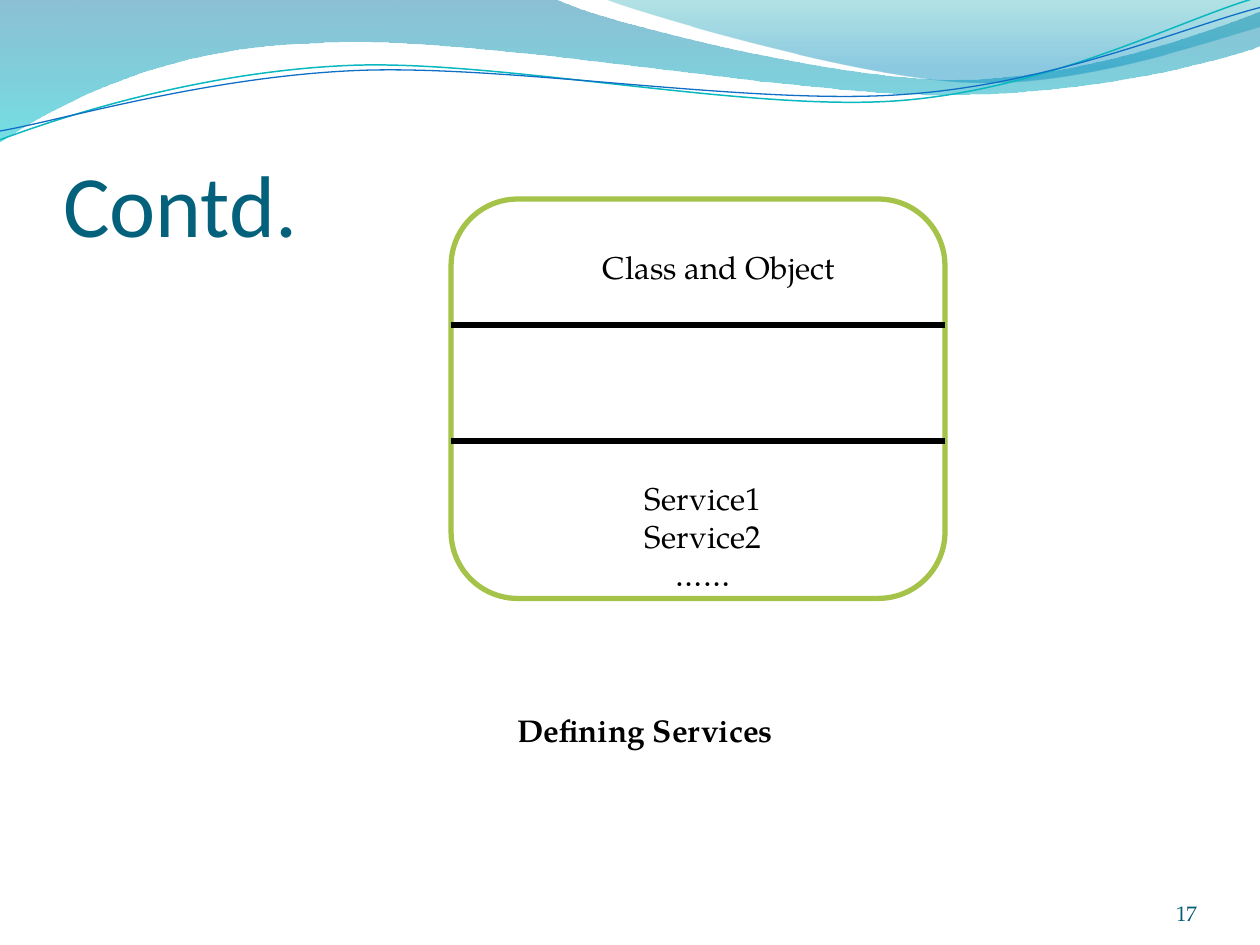
from lxml.etree import SubElement
from pptx import Presentation
from pptx.dml.color import RGBColor
from pptx.enum.shapes import MSO_CONNECTOR, MSO_SHAPE
from pptx.enum.text import MSO_ANCHOR as ANCHOR, PP_ALIGN as ALIGN
from pptx.oxml.ns import qn
from pptx.util import Pt

PX = 9144
SERIF = "TeX Gyre Pagella"
rgb = RGBColor.from_string

prs = Presentation()
prs.slide_width, prs.slide_height = 1000 * PX, 750 * PX
s = prs.slides.add_slide(prs.slide_layouts[6])


def add_wave(start, segments, close=False):
    fb = s.shapes.build_freeform(*start, scale=PX)
    fb.add_line_segments([seg[-1] for seg in segments], close=close)
    sp = fb.convert_to_shape()
    sp.shadow.inherit = False
    left, top = round(sp.left / PX), round(sp.top / PX)
    for node, seg in zip(list(sp._element.iter(qn("a:lnTo"))), segments):
        if len(seg) == 3:
            node.clear()
            node.tag = qn("a:cubicBezTo")
            for x, y in seg:
                SubElement(node, qn("a:pt"), x=str(x - left), y=str(y - top))
    return sp


def add_text(text, x, y, w, h, size=18, font=SERIF, color="000000", bold=False,
             align=ALIGN.CENTER, anchor=ANCHOR.MIDDLE, insets=(10, 5, 10, 5), fill=None):
    if fill:
        sp = s.shapes.add_shape(MSO_SHAPE.RECTANGLE, x * PX, y * PX, w * PX, h * PX)
        sp.fill.solid()
        sp.fill.fore_color.rgb = rgb(fill)
        sp.line.fill.background()
        sp.shadow.inherit = False
    else:
        sp = s.shapes.add_textbox(x * PX, y * PX, w * PX, h * PX)
    tf = sp.text_frame
    tf.word_wrap = True
    tf.vertical_anchor = anchor
    tf.margin_left, tf.margin_top, tf.margin_right, tf.margin_bottom = [v * PX for v in insets]
    tf.text = text
    for p in tf.paragraphs:
        p.alignment = align
        f = p.runs[0].font
        f.name, f.size, f.bold = font, Pt(size), bold
        f.color.rgb = rgb(color)


bands = [
    ((0, 0),
     [[(440, -1)],
      [(476, 17), (664, 63), (758, 63)],
      [(853, 63), (958, 26), (1000, 9)],
      [(1001, 36)],
      [(983, 44), (870, 76), (746, 75)],
      [(622, 75), (382, 28), (257, 34)],
      [(129, 36), (46, 83), (-1, 113)]],
     [(0, "0074A1", 45), (1, "00C6CF", 55)]),
    ((479, -1),
     [[(509, 11), (682, 62), (769, 65)],
      [(856, 69), (961, 32), (1000, 21)],
      [(1000, 0)]],
     [(0, "00A1A9", 30), (0.8, "008BBF", 45)]),
]
for start, segments, stops in bands:
    sp = add_wave(start, segments, close=True)
    sp.line.fill.background()
    sp.fill.gradient()
    sp.fill.gradient_angle = 270
    for stop, (pos, color, alpha) in zip(sp.fill.gradient_stops, stops):
        stop.position = pos
        stop.color.rgb = rgb(color)
    for clr, (pos, color, alpha) in zip(sp._element.spPr.iter(qn("a:srgbClr")), stops):
        SubElement(clr, qn("a:alpha"), val=str(alpha * 1000))

strands = [
    ((0, 111),
     [[(48, 93), (158, 57), (277, 52)],
      [(395, 47), (593, 89), (713, 80)],
      [(833, 71), (938, 15), (998, -2)]], "0AB8BF", 0.85),
    ((0, 104),
     [[(47, 96), (164, 61), (283, 56)],
      [(403, 51), (597, 84), (717, 75)],
      [(836, 67), (941, 21), (1000, 6)]], "0F6FC6", 0.75),
]
for start, segments, color, width in strands:
    sp = add_wave(start, segments)
    sp.fill.background()
    sp.line.color.rgb = rgb(color)
    sp.line.width = Pt(width)

add_text("Contd.", 50, 77, 908, 125, size=50, font="Calibri", color="04617B",
         align=ALIGN.LEFT, anchor=ANCHOR.BOTTOM, insets=(0, 5, 0, 0))
add_text("17", 867, 695, 83, 40, size=12, color="045D75",
         align=ALIGN.RIGHT, anchor=ANCHOR.BOTTOM, insets=(0, 0, 0, 0))

sp = s.shapes.add_shape(MSO_SHAPE.ROUNDED_RECTANGLE, 358 * PX, 158 * PX, 392 * PX, 317 * PX)
sp.shadow.inherit = False
sp.fill.solid()
sp.fill.fore_color.rgb = rgb("FFFFFF")
sp.line.color.rgb = rgb("A5C249")
sp.line.width = Pt(3)

for y in (258, 350):
    ln = s.shapes.add_connector(MSO_CONNECTOR.STRAIGHT, 358 * PX, y * PX, 750 * PX, y * PX)
    ln.line.color.rgb = rgb("000000")
    ln.line.width = Pt(3)
    SubElement(ln._element.spPr, qn("a:effectLst"))

add_text("Class and Object", 433, 191, 275, 42, fill="FFFFFF")
add_text("Service1\nService2\n……", 433, 384, 250, 83, fill="FFFFFF")
add_text("Defining Services", 191, 550, 642, 58, bold=True, fill="FFFFFF")

prs.save("out.pptx")
